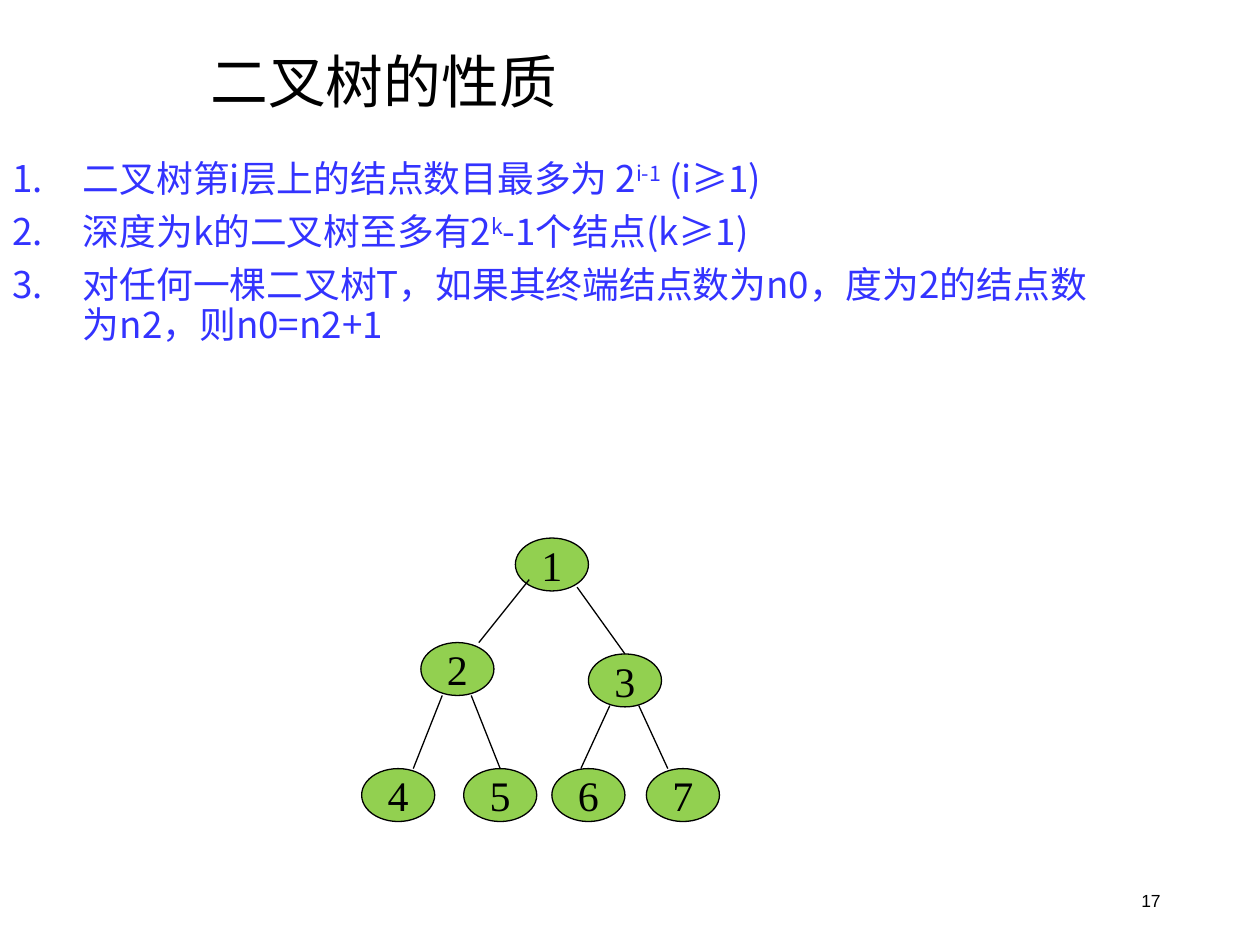
"""Build the slide on the properties of binary trees."""
from typing import NamedTuple

from lxml.etree import SubElement
from pptx import Presentation
from pptx.dml.color import RGBColor
from pptx.enum.shapes import MSO_CONNECTOR, MSO_SHAPE
from pptx.enum.text import MSO_ANCHOR, MSO_AUTO_SIZE, PP_ALIGN
from pptx.oxml.ns import qn
from pptx.util import Inches, Pt

COLORS = {"text": "000000", "property": "3333FF", "node": "92D050", "line": "000000"}
CJK_FONT = "Noto Sans CJK SC"
NODE_WIDTH, NODE_HEIGHT = 0.58, 0.42


class Node(NamedTuple):
    label: str
    left: float
    top: float


class Edge(NamedTuple):
    start: tuple[float, float]
    end: tuple[float, float]


class Span(NamedTuple):
    text: str
    raised: bool = False


NODES = [
    Node("1", 4.09, 4.27),
    Node("2", 3.34, 5.1),
    Node("3", 4.67, 5.19),
    Node("4", 2.87, 6.1),
    Node("5", 3.68, 6.1),
    Node("6", 4.38, 6.1),
    Node("7", 5.13, 6.1),
]
EDGES = [
    Edge((4.2, 4.6), (3.8, 5.1)),
    Edge((3.51, 5.52), (3.28, 6.1)),
    Edge((3.74, 5.52), (3.97, 6.1)),
    Edge((4.58, 4.66), (4.96, 5.19)),
    Edge((4.84, 5.6), (4.61, 6.1)),
    Edge((5.07, 5.6), (5.3, 6.1)),
]
PROPERTIES = [
    [Span("二叉树第i层上的结点数目最多为 2"), Span("i-1", True), Span(" (i≥1)")],
    [Span("深度为k的二叉树至多有2"), Span("k", True), Span("-1个结点(k≥1)")],
    [Span("对任何一棵二叉树T，如果其终端结点数为n0，度为2的结点数为n2，则n0=n2+1")],
]


def color(name: str) -> RGBColor:
    return RGBColor.from_string(COLORS[name])


def set_font(paragraph, name: str, size: float, color_name: str) -> None:
    font = paragraph.font
    font.name, font.size = name, Pt(size)
    font.color.rgb = color(color_name)
    if name == CJK_FONT:
        properties = paragraph._p.get_or_add_pPr().find(qn("a:defRPr"))
        SubElement(properties, qn("a:ea")).set("typeface", name)


def add_title(page, text: str) -> None:
    title = page.shapes.title
    title.left, title.top = Inches(1.57), Inches(0.35)
    title.width, title.height = Inches(8.43), Inches(0.65)
    frame = title.text_frame
    frame.text = text
    frame.auto_size = MSO_AUTO_SIZE.NONE
    frame.vertical_anchor = MSO_ANCHOR.MIDDLE
    paragraph = frame.paragraphs[0]
    paragraph.alignment = PP_ALIGN.LEFT
    paragraph.line_spacing = 0.9
    set_font(paragraph, CJK_FONT, 33, "text")


def add_properties(page) -> None:
    box = page.shapes.add_textbox(Inches(0), Inches(1.23), Inches(8.98), Inches(2.8))
    frame = box.text_frame
    frame.word_wrap = True
    for index, spans in enumerate(PROPERTIES):
        paragraph = frame.add_paragraph() if index else frame.paragraphs[0]
        paragraph.line_spacing = 0.9
        paragraph.space_before = Pt(7.5 if index else 0)
        layout = paragraph._p.get_or_add_pPr()
        layout.set("marL", str(Inches(0.56)))
        layout.set("indent", str(-Inches(0.56)))
        SubElement(layout, qn("a:buFont")).set("typeface", CJK_FONT)
        SubElement(layout, qn("a:buAutoNum")).set("type", "arabicPeriod")
        set_font(paragraph, CJK_FONT, 21, "property")
        for span in spans:
            run = paragraph.add_run()
            run.text = span.text
            if span.raised:
                run._r.get_or_add_rPr().set("baseline", "30000")


def add_node(shapes, node: Node) -> None:
    oval = shapes.add_shape(
        MSO_SHAPE.OVAL, Inches(node.left), Inches(node.top),
        Inches(NODE_WIDTH), Inches(NODE_HEIGHT),
    )
    oval.shadow.inherit = False
    oval.fill.solid()
    oval.fill.fore_color.rgb = color("node")
    oval.line.color.rgb = color("line")
    oval.line.width = Pt(0.75)
    frame = oval.text_frame
    frame.text = node.label
    frame.word_wrap = False
    frame.vertical_anchor = MSO_ANCHOR.MIDDLE
    paragraph = frame.paragraphs[0]
    paragraph.alignment = PP_ALIGN.CENTER
    set_font(paragraph, "Times New Roman", 24, "text")


def add_edge(shapes, edge: Edge) -> None:
    ends = [Inches(value) for value in edge.start + edge.end]
    line = shapes.add_connector(MSO_CONNECTOR.STRAIGHT, *ends)
    line.line.color.rgb = color("line")
    line.line.width = Pt(0.75)
    SubElement(line._element.spPr, qn("a:effectLst"))


def add_page_number(page, number: str) -> None:
    box = page.shapes.add_textbox(Inches(7.06), Inches(6.95), Inches(2.25), Inches(0.4))
    frame = box.text_frame
    frame.word_wrap = True
    frame.vertical_anchor = MSO_ANCHOR.MIDDLE
    frame.text = number
    paragraph = frame.paragraphs[0]
    paragraph.alignment = PP_ALIGN.RIGHT
    set_font(paragraph, "Arial", 10, "text")


def main() -> None:
    deck = Presentation()
    deck.slide_width, deck.slide_height = Inches(10), Inches(7.5)
    page = deck.slides.add_slide(deck.slide_layouts[5])
    add_page_number(page, "17")
    add_title(page, "二叉树的性质")
    add_properties(page)
    tree = page.shapes.add_group_shape()
    for node in NODES:
        add_node(tree.shapes, node)
    for edge in EDGES:
        add_edge(tree.shapes, edge)
    deck.save("out.pptx")


if __name__ == "__main__":
    main()
